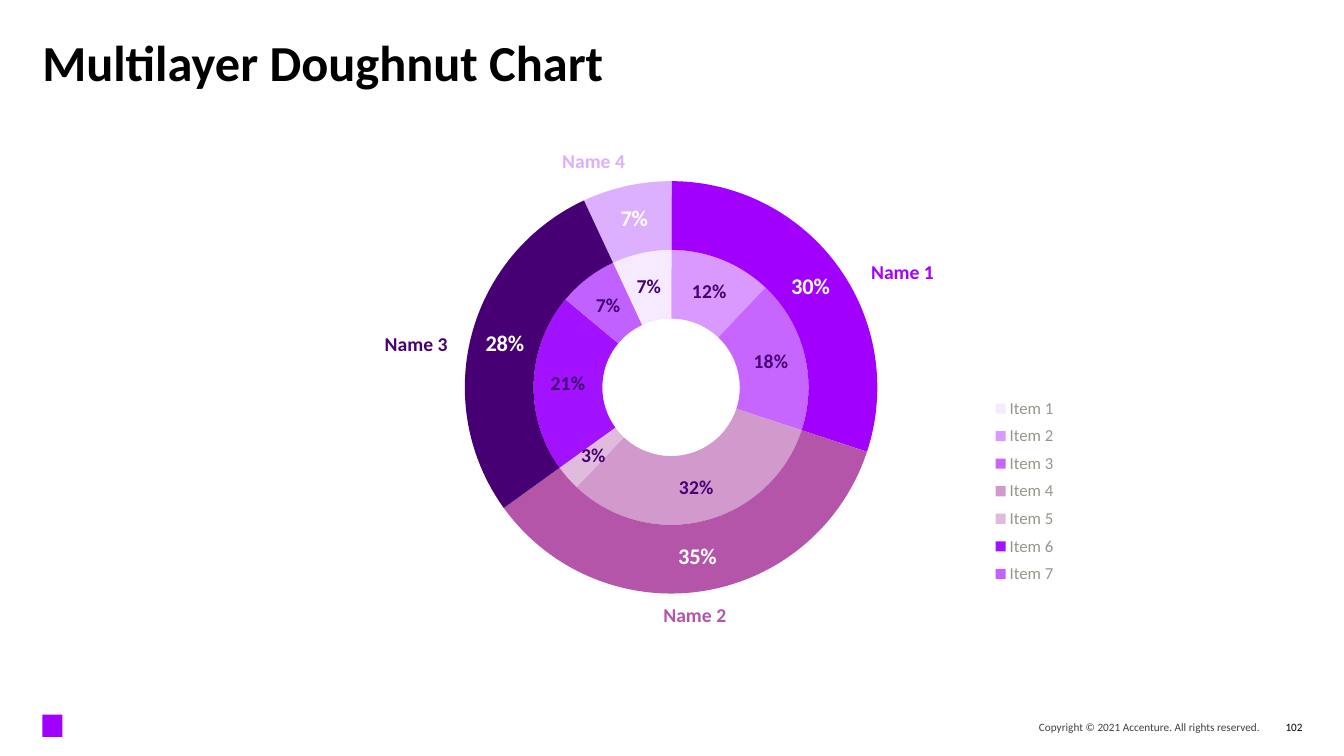
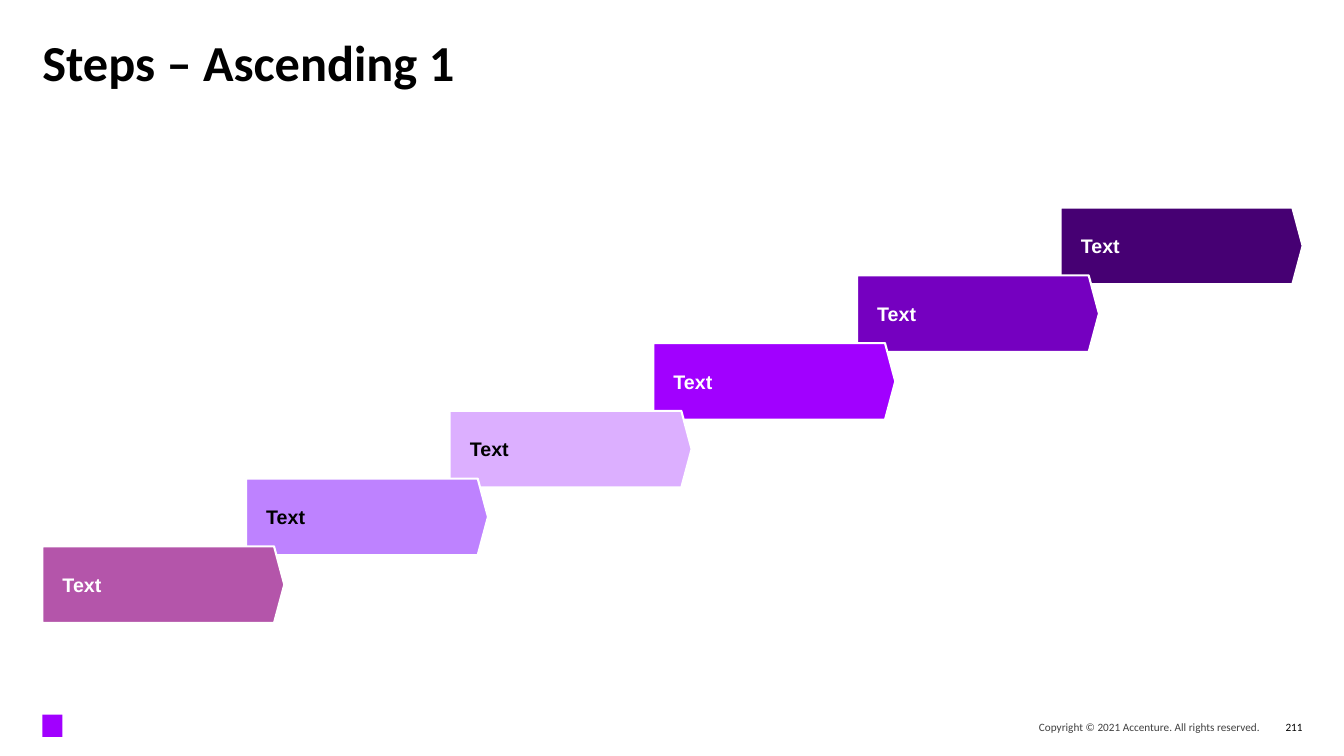
from lxml import etree
from pptx import Presentation
from pptx.chart.data import CategoryChartData
from pptx.dml.color import RGBColor
from pptx.enum.chart import XL_CHART_TYPE, XL_LEGEND_POSITION
from pptx.enum.shapes import MSO_SHAPE
from pptx.enum.text import MSO_ANCHOR, PP_ALIGN
from pptx.oxml.ns import qn
from pptx.util import Inches, Pt

DOUGHNUT = XL_CHART_TYPE.DOUGHNUT
LEGEND_RIGHT = XL_LEGEND_POSITION.RIGHT
PENTAGON = MSO_SHAPE.PENTAGON
RECTANGLE = MSO_SHAPE.RECTANGLE
TOP, MIDDLE = MSO_ANCHOR.TOP, MSO_ANCHOR.MIDDLE
LEFT, RIGHT = PP_ALIGN.LEFT, PP_ALIGN.RIGHT

BLACK = RGBColor(0x00, 0x00, 0x00)
WHITE = RGBColor(0xFF, 0xFF, 0xFF)
DARK_GRAY = RGBColor(0x40, 0x40, 0x40)
LEGEND_GRAY = RGBColor(0x96, 0x96, 0x8C)
PURPLE = RGBColor(0xA1, 0x00, 0xFF)
DEEP_PURPLE = RGBColor(0x46, 0x00, 0x73)
DARK_PURPLE = RGBColor(0x75, 0x00, 0xC0)
LIGHT_PURPLE = RGBColor(0xBE, 0x82, 0xFF)
PALE_PURPLE = RGBColor(0xDC, 0xAF, 0xFF)
PINK = RGBColor(0xB4, 0x55, 0xAA)
INNER_COLORS = [
    PALE_PURPLE,
    RGBColor(0xD9, 0x99, 0xFF),
    RGBColor(0xC7, 0x66, 0xFF),
    RGBColor(0xD2, 0x99, 0xCC),
    RGBColor(0xE1, 0xBB, 0xDD),
    RGBColor(0xA2, 0x12, 0xFF),
    RGBColor(0xC1, 0x61, 0xFF),
]
OUTER_COLORS = [PALE_PURPLE, PURPLE, PINK, DEEP_PURPLE]

FONT = "Calibri"
STEP_FONT = "Arial"
MARGIN = 0.42
COPYRIGHT = "Copyright © 2021 Accenture. All rights reserved."


def style_font(font, size, color, bold=False, name=FONT):
    font.name = name
    font.size = Pt(size)
    font.bold = bold
    font.color.rgb = color


def add_text(slide, box, text, size, color, bold=False, align=LEFT, anchor=MIDDLE):
    shape = slide.shapes.add_textbox(*map(Inches, box))
    frame = shape.text_frame
    frame.margin_left = frame.margin_right = 0
    frame.margin_top = frame.margin_bottom = 0
    frame.word_wrap = True
    frame.vertical_anchor = anchor
    frame.text = text
    paragraph = frame.paragraphs[0]
    paragraph.alignment = align
    style_font(paragraph.runs[0].font, size, color, bold)
    return paragraph


def add_base_slide(presentation, title, number):
    """Blank slide with title, corner mark and footer."""
    slide = presentation.slides.add_slide(presentation.slide_layouts[6])
    mark = slide.shapes.add_shape(
        RECTANGLE, Inches(MARGIN), Inches(7.09), Inches(0.2), Inches(0.22))
    mark.shadow.inherit = False
    mark.fill.solid()
    mark.fill.fore_color.rgb = PURPLE
    mark.line.fill.background()

    heading = add_text(slide, (MARGIN, 0.42, 12.5, 0.88), title, 36, BLACK, True, anchor=TOP)
    heading.line_spacing = 0.8
    add_text(slide, (8, 7.1, 4.5, 0.22), COPYRIGHT, 8, DARK_GRAY, align=RIGHT)
    add_text(slide, (12.56, 7.1, 0.36, 0.22), number, 8, BLACK, align=RIGHT)
    return slide


def set_layout(element, index, x, y, w, h, inner=False):
    """Fix the place of a chart part, in fractions of the chart."""
    for old in element.findall(qn("c:layout")):
        element.remove(old)
    layout = etree.Element(qn("c:layout"))
    manual = etree.SubElement(layout, qn("c:manualLayout"))
    settings = [("layoutTarget", "inner")] if inner else []
    settings += [("xMode", "edge"), ("yMode", "edge"), ("x", x), ("y", y), ("w", w), ("h", h)]
    for tag, value in settings:
        etree.SubElement(manual, qn(f"c:{tag}")).set("val", str(value))
    element.insert(index, layout)


def style_ring(series, colors, label_size, label_color):
    for index, color in enumerate(colors):
        point_format = series.points[index].format
        point_format.fill.solid()
        point_format.fill.fore_color.rgb = color
        point_format.line.fill.background()
    labels = series.data_labels
    labels.show_value = True
    labels.show_percentage = False
    labels.number_format = "0%"
    labels.number_format_is_linked = False
    style_font(labels.font, label_size, label_color, True)


def add_doughnut(slide, left, top, width, height):
    data = CategoryChartData(number_format="0%")
    data.categories = [f"Item {number}" for number in range(1, 8)]
    data.add_series("Series 1", (0.07, 0.12, 0.18, 0.32, 0.03, 0.21, 0.07))
    data.add_series("Series 2", (0.07, 0.3, 0.35, 0.28, None, None, None))
    chart = slide.shapes.add_chart(
        DOUGHNUT, *map(Inches, (left, top, width, height)), data).chart
    chart.has_title = False
    style_font(chart.font, 10, BLACK)

    # Rings
    plot = chart.plots[0]
    plot.vary_by_categories = True
    inner, outer = plot.series
    style_ring(inner, INNER_COLORS, 14, DEEP_PURPLE)
    style_ring(outer, OUTER_COLORS, 16, WHITE)
    first_color = next(inner.points[0].format.fill._xPr.iter(qn("a:srgbClr")))
    etree.SubElement(first_color, qn("a:alpha")).set("val", "26000")

    # Ring geometry
    plot_area = chart._chartSpace.chart.plotArea
    for tag, value in (("firstSliceAng", 335), ("holeSize", 51)):
        next(plot_area.iter(qn(f"c:{tag}"))).set("val", str(value))
    set_layout(plot_area, 0, 0.336, 0.003, 0.325, 0.845, inner=True)

    # Legend
    chart.has_legend = True
    chart.legend.position = LEGEND_RIGHT
    chart.legend.include_in_layout = False
    style_font(chart.legend.font, 12, LEGEND_GRAY)
    set_layout(chart.legend._element, 1, 0.737, 0.433, 0.08, 0.41)

    # Names around the outer ring, relative to the chart box
    names = [
        ("Name 1", 8.26, 0.84, 1.5, PURPLE, LEFT),
        ("Name 2", 6.2, 4.24, 2.34, PINK, LEFT),
        ("Name 3", 2.56, 1.55, 1.5, DEEP_PURPLE, RIGHT),
        ("Name 4", 4.32, -0.26, 1.5, PALE_PURPLE, RIGHT),
    ]
    for name, x, y, name_width, color, align in names:
        add_text(slide, (left + x, top + y, name_width, 0.15), name, 14, color, True, align)


def add_steps(slide, left, top, width, height):
    """Arrows from the top right down to the bottom left of the box."""
    steps = [
        (DEEP_PURPLE, WHITE),
        (DARK_PURPLE, WHITE),
        (PURPLE, WHITE),
        (PALE_PURPLE, BLACK),
        (LIGHT_PURPLE, BLACK),
        (PINK, WHITE),
    ]
    step_width, step_height = 2.4, 0.76
    gaps = len(steps) - 1
    pitch_x = (width - step_width) / gaps
    pitch_y = (height - step_height) / gaps
    for index, (fill, text_color) in enumerate(steps):
        x = left + (gaps - index) * pitch_x
        y = top + index * pitch_y
        step = slide.shapes.add_shape(
            PENTAGON, *map(Inches, (x, y, step_width, step_height)))
        step.adjustments[0] = 0.134
        step.shadow.inherit = False
        step.fill.solid()
        step.fill.fore_color.rgb = fill
        step.line.color.rgb = WHITE
        step.line.width = Pt(1.5)

        frame = step.text_frame
        frame.margin_left = Inches(0.2)
        frame.margin_right = frame.margin_top = frame.margin_bottom = Inches(0.08)
        frame.word_wrap = False
        frame.vertical_anchor = MIDDLE
        frame.text = "Text"
        paragraph = frame.paragraphs[0]
        paragraph.alignment = LEFT
        style_font(paragraph.runs[0].font, 14, text_color, True, STEP_FONT)


def main():
    presentation = Presentation()
    presentation.slide_width = Inches(13.33)
    presentation.slide_height = Inches(7.5)

    slide = add_base_slide(presentation, "Multilayer Doughnut Chart", "102")
    add_doughnut(slide, 0.38, 1.78, 12.59, 4.85)

    slide = add_base_slide(presentation, "Steps – Ascending 1", "211")
    add_steps(slide, MARGIN, 2.06, 12.5, 4.12)

    presentation.save("out.pptx")


if __name__ == "__main__":
    main()
